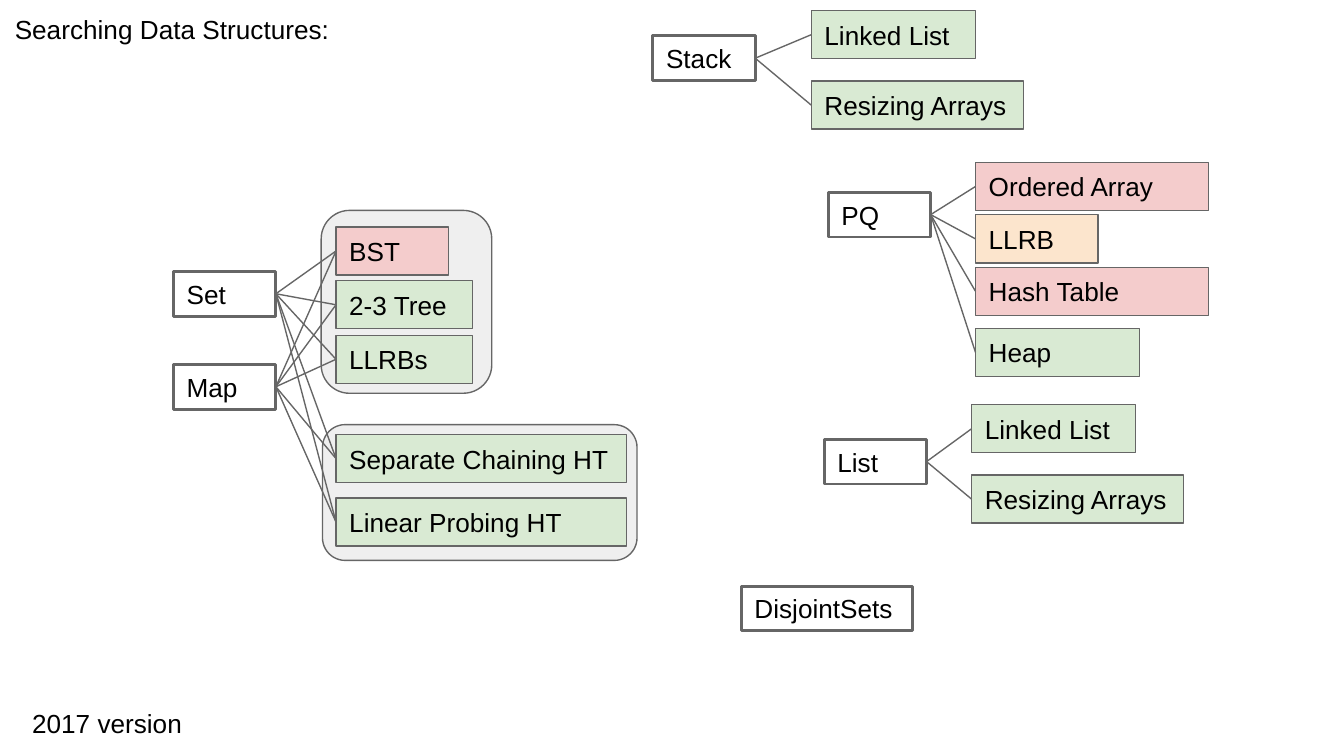
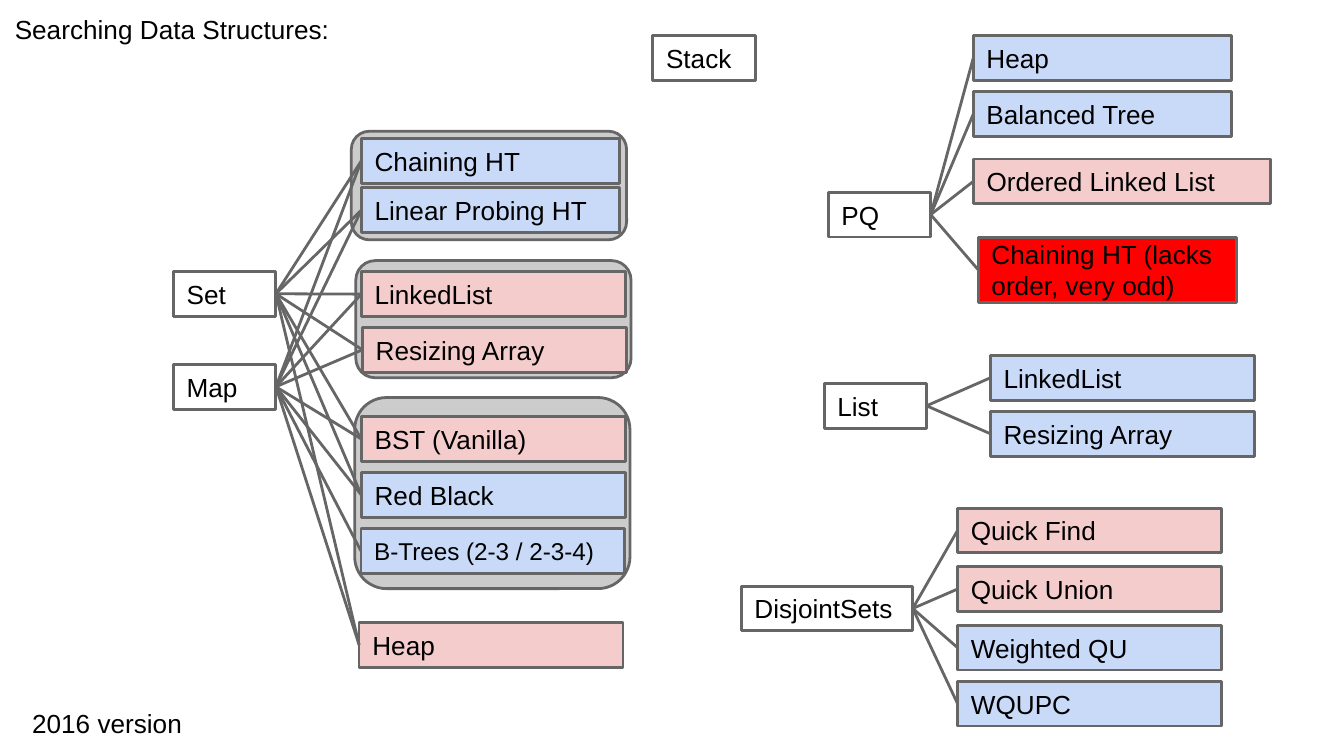
import pptx
import pptx.dml.color
import pptx.enum.shapes
import pptx.enum.text
import pptx.oxml.ns
import pptx.util
from dataclasses import dataclass
from lxml import etree

Pt = pptx.util.Pt
ANCHOR = pptx.enum.text.MSO_ANCHOR
SHAPE = pptx.enum.shapes.MSO_SHAPE

COLORS = {
    "ink": "000000",
    "outline": "666666",
    "type": "FFFFFF",
    "light panel": "EFEFEF",
    "dark panel": "CCCCCC",
    "green": "D9EAD3",
    "blue": "C9DAF8",
    "pink": "F4CCCC",
    "orange": "FCE5CD",
    "red": "FF0000",
}
FONT = "Arial"
INSET = 7.2
TYPE_HEIGHT = 24
TYPE_OUTLINE = 1.5


@dataclass(frozen=True)
class Box:
    left: float
    top: float
    width: float
    height: float


@dataclass(frozen=True)
class Choice:
    text: str
    top: float
    width: float
    color: str
    height: float | None = None
    size: float = 14


@dataclass(frozen=True)
class Branch:
    types: tuple[str, ...]
    left: float
    choices: tuple[Choice, ...]


@dataclass(frozen=True)
class Version:
    caption: str
    list_top: float
    choice_height: float
    outline: float
    panel_color: str
    panels: tuple[Box, ...]
    branches: tuple[Branch, ...]


TITLE = "Searching Data Structures:"
TITLE_BOX = Box(0.7, 0, 225.4, 23.8)
CAPTION_BOX = Box(10.1, 371.5, 229, 25.2)
TYPES = {
    "PQ": Box(443.7, 103, 54.9, TYPE_HEIGHT),
    "Set": Box(92.9, 145.4, 54.9, TYPE_HEIGHT),
    "Map": Box(92.9, 195.2, 54.9, TYPE_HEIGHT),
    "DisjointSets": Box(397.1, 314, 91.9, TYPE_HEIGHT),
    "Stack": Box(349.7, 19.2, 54.9, TYPE_HEIGHT),
}
LIST_LEFT = 441.5

VERSIONS = (
    Version(
        "2017 version", 235.3, 25.8, 0.75, "light panel",
        (Box(172.8, 227.5, 168.5, 72.7), Box(172.1, 112.7, 91.4, 98)),
        (
            Branch(("Set", "Map"), 180, (
                Choice("BST", 121.6, 60.5, "pink"),
                Choice("2-3 Tree", 150.4, 73.3, "green"),
                Choice("LLRBs", 179.6, 73.3, "green"),
                Choice("Separate Chaining HT", 232.8, 155.7, "green"),
                Choice("Linear Probing HT", 266.8, 155.7, "green"),
            )),
            Branch(("Stack",), 434.6, (
                Choice("Linked List", 5.7, 88, "green"),
                Choice("Resizing Arrays", 43.4, 113.6, "green"),
            )),
            Branch(("List",), 520.5, (
                Choice("Linked List", 216.8, 88, "green"),
                Choice("Resizing Arrays", 254.5, 113.6, "green"),
            )),
            Branch(("PQ",), 522.6, (
                Choice("Ordered Array", 87, 125, "pink"),
                Choice("LLRB", 115.1, 65.6, "orange"),
                Choice("Hash Table", 143.2, 125, "pink"),
                Choice("Heap", 175.9, 88, "green"),
            )),
        ),
    ),
    Version(
        "2016 version", 205.4, 24, 1.5, "dark panel",
        (
            Box(190, 213, 147.5, 102.4),
            Box(190.6, 139.6, 147.5, 62.8),
            Box(188.2, 70.3, 147.5, 58.2),
        ),
        (
            Branch(("Set", "Map"), 193.6, (
                Choice("Chaining HT", 74.2, 138.4, "blue"),
                Choice("Linear Probing HT", 100.6, 138.4, "blue"),
                Choice("LinkedList", 145.6, 141.4, "pink"),
                Choice("BST (Vanilla)", 223.2, 141.4, "pink"),
                Choice("Red Black", 253.2, 141.4, "blue"),
            )),
            Branch(("Set", "Map"), 194.2, (
                Choice("Resizing Array", 175.4, 141.4, "pink"),
            )),
            Branch(("Map",), 193.4, (
                Choice("B-Trees (2-3 / 2-3-4)", 283.2, 141.4, "blue", size=13),
            )),
            Branch(("Set", "Map"), 192.4, (
                Choice("Heap", 333.5, 141.4, "pink"),
            )),
            Branch(("PQ",), 521.4, (
                Choice("Heap", 19.2, 138.4, "blue"),
                Choice("Balanced Tree", 49.2, 138.4, "blue"),
                Choice("Ordered Linked List", 85.2, 159.4, "pink"),
            )),
            Branch(("PQ",), 524.1, (
                Choice("Chaining HT (lacks order, very odd)", 127.2, 138.4,
                       "red", height=34.8),
            )),
            Branch(("List",), 530.6, (
                Choice("LinkedList", 190.4, 141.4, "blue"),
                Choice("Resizing Array", 220.4, 141.4, "blue"),
            )),
            Branch(("DisjointSets",), 513, (
                Choice("Quick Find", 272.2, 141.4, "pink"),
                Choice("Quick Union", 303.6, 141.4, "pink"),
                Choice("Weighted QU", 335, 141.4, "blue"),
                Choice("WQUPC", 365, 141.4, "blue"),
            )),
        ),
    ),
)


def rgb(color: str) -> pptx.dml.color.RGBColor:
    return pptx.dml.color.RGBColor.from_string(COLORS[color])


def bounds(box: Box) -> tuple:
    return Pt(box.left), Pt(box.top), Pt(box.width), Pt(box.height)


def write_text(holder, text: str, *, size: float = 14, color: str = "ink",
               anchor=ANCHOR.MIDDLE) -> None:
    frame = holder.text_frame
    frame.word_wrap = True
    frame.auto_size = pptx.enum.text.MSO_AUTO_SIZE.NONE
    frame.vertical_anchor = anchor
    frame.margin_left = frame.margin_right = Pt(INSET)
    frame.margin_top = frame.margin_bottom = Pt(INSET)
    paragraph = frame.paragraphs[0]
    paragraph.alignment = pptx.enum.text.PP_ALIGN.LEFT
    paragraph.space_before = Pt(0)
    run = paragraph.add_run()
    run.text = text
    run.font.name = FONT
    run.font.size = Pt(size)
    run.font.color.rgb = rgb(color)


def draw_box(slide, box: Box, color: str, outline: float,
             preset=SHAPE.RECTANGLE):
    shape = slide.shapes.add_shape(preset, *bounds(box))
    shape.shadow.inherit = False
    shape.fill.solid()
    shape.fill.fore_color.rgb = rgb(color)
    shape.line.color.rgb = rgb("outline")
    shape.line.width = Pt(outline)
    return shape


def draw_link(slide, abstract_type, choice, outline: float) -> None:
    link = slide.shapes.add_connector(
        pptx.enum.shapes.MSO_CONNECTOR.STRAIGHT, 0, 0, 0, 0)
    link.begin_connect(abstract_type, 3)
    link.end_connect(choice, 1)
    link.line.color.rgb = rgb("outline")
    link.line.width = Pt(outline)
    properties = link.element.find(pptx.oxml.ns.qn("p:spPr"))
    etree.SubElement(properties, pptx.oxml.ns.qn("a:effectLst"))


def draw_branch(slide, branch: Branch, version: Version, types: dict) -> None:
    for choice in branch.choices:
        box = Box(branch.left, choice.top, choice.width,
                  choice.height or version.choice_height)
        shape = draw_box(slide, box, choice.color, version.outline)
        write_text(shape, choice.text, size=choice.size)
        for name in branch.types:
            draw_link(slide, types[name], shape, version.outline)


def build_slide(deck, version: Version) -> None:
    slide = deck.slides.add_slide(deck.slide_layouts.get_by_name("Title Only"))
    title = slide.shapes.title
    title.left, title.top, title.width, title.height = bounds(TITLE_BOX)
    write_text(title, TITLE, anchor=ANCHOR.TOP)

    for panel in version.panels:
        draw_box(slide, panel, version.panel_color, version.outline,
                 SHAPE.ROUNDED_RECTANGLE)

    type_boxes = TYPES | {
        "List": Box(LIST_LEFT, version.list_top, 54.9, TYPE_HEIGHT)}
    types = {}
    for name, box in type_boxes.items():
        types[name] = draw_box(slide, box, "type", TYPE_OUTLINE)
        write_text(types[name], name)

    for branch in version.branches:
        draw_branch(slide, branch, version, types)

    caption = slide.shapes.add_textbox(*bounds(CAPTION_BOX))
    write_text(caption, version.caption, anchor=ANCHOR.TOP)


def main() -> None:
    deck = pptx.Presentation()
    deck.slide_width = Pt(720)
    deck.slide_height = Pt(405)
    for version in VERSIONS:
        build_slide(deck, version)
    deck.save("out.pptx")


if __name__ == "__main__":
    main()
